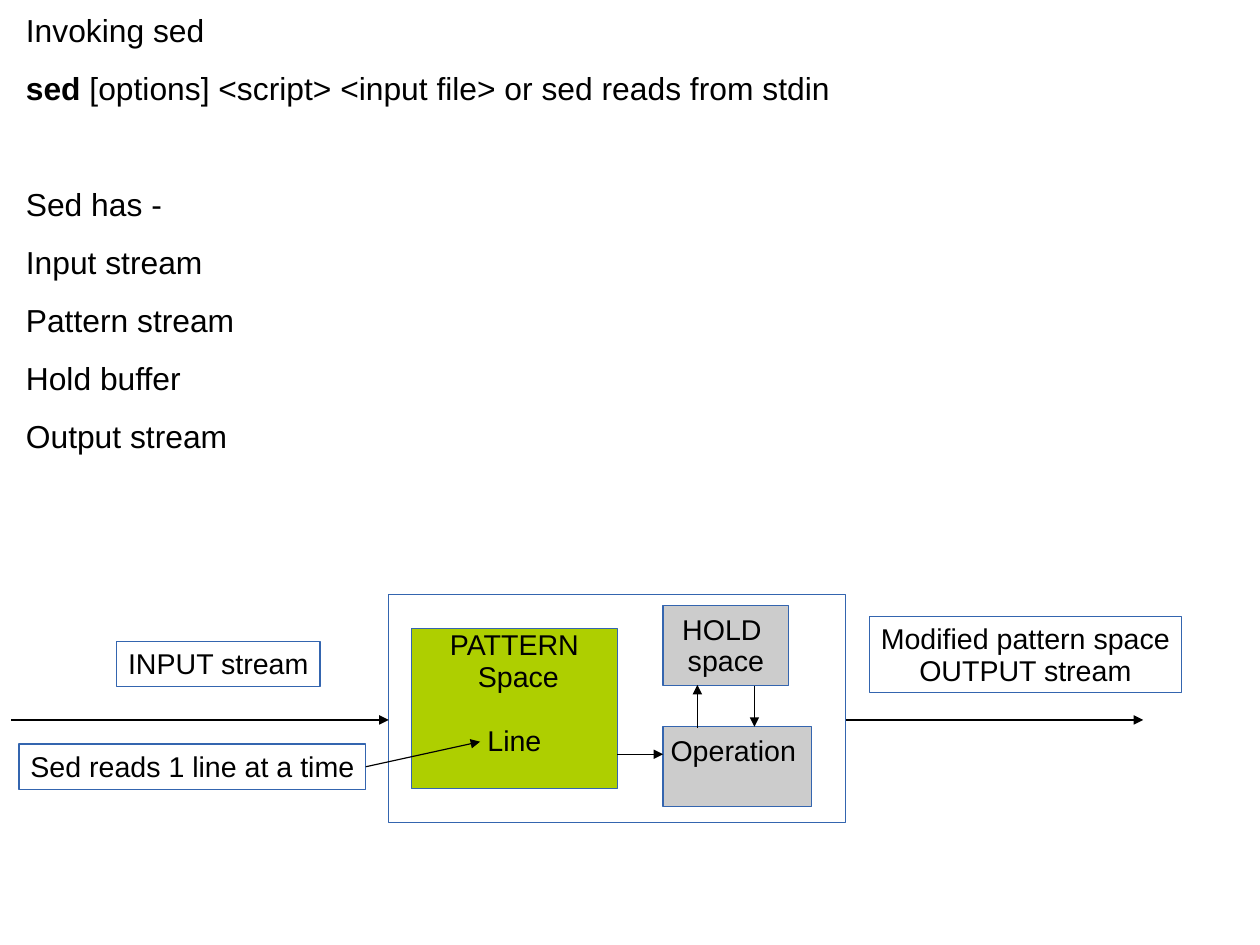
from dataclasses import dataclass
from typing import Optional

from lxml import etree
from pptx import Presentation
from pptx.dml.color import RGBColor
from pptx.enum import shapes, text
from pptx.oxml import ns
from pptx.util import Pt

BLACK = RGBColor(0x00, 0x00, 0x00)
BLUE = RGBColor(0x34, 0x65, 0xAF)
GREY = RGBColor(0xCC, 0xCC, 0xCC)
GREEN = RGBColor(0xAE, 0xCF, 0x00)

FONT = "Arial"
LINE_SPACING = 0.93
LINE_WIDTH = 0.75
PARA_GAP = 14.3
ROW_PITCH = 36.5
TEXT_LEFT, TEXT_TOP, TEXT_WIDTH = 16.3, 9, 760

USAGE = ("sed", " [options] <script> <input file> or sed reads from stdin")
PARTS = ["Sed has -", "Input stream", "Pattern stream", "Hold buffer", "Output stream"]


@dataclass
class Box:
    left: float
    top: float
    width: float
    height: float
    label: str = ""
    fill: Optional[RGBColor] = None
    inset_top: float = 5


@dataclass
class Arrow:
    x1: float
    y1: float
    x2: float
    y2: float
    source: Optional[str] = None  # box whose right side the arrow leaves


STREAM_Y = 453.6
BOXES = {
    "frame": Box(244.8, 374.4, 288, 144),
    "hold": Box(417.6, 381.6, 79.2, 50.4, "HOLD \nspace", GREY, 5.6),
    "pattern": Box(259.2, 396, 129.6, 100.8, "PATTERN\n Space\nLine", GREEN, 1),
    "input": Box(73.4, 404, 128.2, 28.8, "INPUT stream"),
    "output": Box(547.6, 388.4, 196.4, 48.2, "Modified pattern space\nOUTPUT stream"),
    "reader": Box(12, 468.8, 218.4, 28.6, "Sed reads 1 line at a time"),
    "operation": Box(417.6, 457.9, 93.6, 50.4, "Operation ", GREY, 5.6),
}
ARROWS = [
    Arrow(7.2, STREAM_Y, 244.8, STREAM_Y),
    Arrow(532.8, STREAM_Y, 720, STREAM_Y),
    Arrow(230.4, 483.1, 302.4, 467.3, "reader"),
    Arrow(388.8, 475.2, 417.6, 475.2),
    Arrow(439.2, 458.5, 439.2, 431.5),
    Arrow(475.2, 432, 475.2, 457.9),
]


def format_text(tf, size: float, align, gap: float = 0) -> None:
    for p in tf.paragraphs:
        p.alignment = align
        p.line_spacing = LINE_SPACING
        p.space_before, p.space_after = Pt(0), Pt(gap)
        for r in p.runs:
            r.font.name, r.font.size = FONT, Pt(size)
            r.font.color.rgb = BLACK


def set_insets(tf, side: float, top: float) -> None:
    tf.margin_left = tf.margin_right = Pt(side)
    tf.margin_top, tf.margin_bottom = Pt(top), Pt(0)
    tf.vertical_anchor = text.MSO_ANCHOR.TOP


def add_title(s) -> None:
    title = s.shapes.title
    title.left, title.top = Pt(TEXT_LEFT), Pt(TEXT_TOP)
    title.width, title.height = Pt(TEXT_WIDTH), Pt(ROW_PITCH)
    tf = title.text_frame
    tf.text = "Invoking sed"
    tf.auto_size = text.MSO_AUTO_SIZE.NONE
    set_insets(tf, 0, 0)
    format_text(tf, 20, text.PP_ALIGN.LEFT)


def add_body(s) -> None:
    height = ROW_PITCH * (len(PARTS) + 2)
    tf = s.shapes.add_textbox(
        Pt(TEXT_LEFT), Pt(TEXT_TOP + ROW_PITCH), Pt(TEXT_WIDTH), Pt(height)
    ).text_frame
    tf.word_wrap = True
    tf.text = "\n".join(["".join(USAGE)] + PARTS)
    usage = tf.paragraphs[0]
    usage.runs[0].text = USAGE[0]
    usage.runs[0].font.bold = True
    usage.add_run().text = USAGE[1]
    set_insets(tf, 0, 0)
    format_text(tf, 20, text.PP_ALIGN.LEFT, PARA_GAP)
    usage.space_after = Pt(PARA_GAP + ROW_PITCH - 0.4)


def add_box(s, box: Box):
    sp = s.shapes.add_shape(
        shapes.MSO_SHAPE.RECTANGLE,
        Pt(box.left), Pt(box.top), Pt(box.width), Pt(box.height),
    )
    sp.shadow.inherit = False
    sp.line.color.rgb, sp.line.width = BLUE, Pt(LINE_WIDTH)
    if box.fill is None:
        sp.fill.background()
    else:
        sp.fill.solid()
        sp.fill.fore_color.rgb = box.fill
    if box.label:
        tf = sp.text_frame
        tf.text = box.label
        tf.word_wrap = False
        set_insets(tf, 7.2, box.inset_top)
        format_text(tf, 18, text.PP_ALIGN.CENTER)
    return sp


def add_arrow(s, arrow: Arrow, boxes: dict) -> None:
    c = s.shapes.add_connector(
        shapes.MSO_CONNECTOR.STRAIGHT,
        Pt(arrow.x1), Pt(arrow.y1), Pt(arrow.x2), Pt(arrow.y2),
    )
    if arrow.source:
        c.begin_connect(boxes[arrow.source], 3)
    c.line.color.rgb, c.line.width = BLACK, Pt(LINE_WIDTH)
    etree.SubElement(c.line._get_or_add_ln(), ns.qn("a:tailEnd"), type="triangle")
    etree.SubElement(c._element.spPr, ns.qn("a:effectLst"))


def main() -> None:
    prs = Presentation()
    prs.slide_width, prs.slide_height = Pt(793.6), Pt(595.4)
    s = prs.slides.add_slide(prs.slide_layouts.get_by_name("Title Only"))
    add_title(s)
    add_body(s)
    boxes = {key: add_box(s, box) for key, box in BOXES.items()}
    line = boxes["pattern"].text_frame.paragraphs[-1]
    line.space_before = Pt(20)
    for arrow in ARROWS:
        add_arrow(s, arrow, boxes)
    prs.save("out.pptx")


if __name__ == "__main__":
    main()
